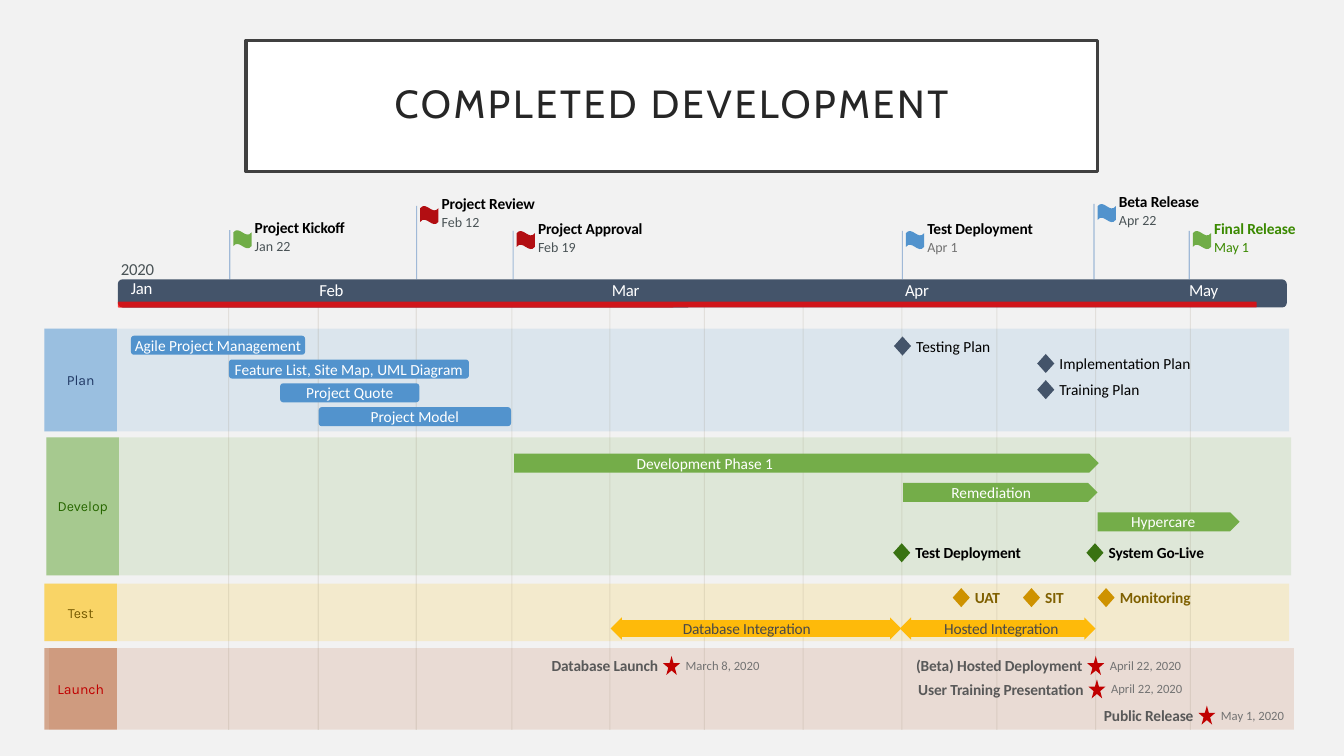
from pptx import Presentation
from pptx.dml.color import RGBColor
from pptx.enum.shapes import MSO_CONNECTOR, MSO_SHAPE
from pptx.enum.text import MSO_ANCHOR, MSO_AUTO_SIZE, PP_ALIGN
from pptx.oxml.ns import qn
from pptx.util import Cm, Pt

RECTANGLE, ROUNDED = MSO_SHAPE.RECTANGLE, MSO_SHAPE.ROUNDED_RECTANGLE
DIAMOND, STAR, FLAG = MSO_SHAPE.DIAMOND, MSO_SHAPE.STAR_5_POINT, MSO_SHAPE.WAVE
PENTAGON, DOUBLE_ARROW = MSO_SHAPE.PENTAGON, MSO_SHAPE.LEFT_RIGHT_ARROW
STRAIGHT = MSO_CONNECTOR.STRAIGHT
LEFT, CENTER, RIGHT = PP_ALIGN.LEFT, PP_ALIGN.CENTER, PP_ALIGN.RIGHT
MIDDLE, NO_AUTOFIT = MSO_ANCHOR.MIDDLE, MSO_AUTO_SIZE.NONE

COLORS = {
    "background": "F2F2F2", "white": "FFFFFF", "black": "000000",
    "title": "262626", "frame": "404040", "slate": "44546A",
    "progress": "FF0000", "grid": "87795D", "pole": "4F81BD",
    "date": "4A5356", "light date": "737373", "launch name": "595959",
    "blue": "5293CD", "green": "70AD47", "red": "B20E12", "final": "3A8900",
    "plan": "5B9BD5", "plan label": "203864",
    "develop": "70AD47", "develop label": "276700",
    "phase": "74AD49", "develop marker": "397212",
    "test": "FFC000", "test label": "765A00", "integration": "FEBA0A",
    "test marker": "CE9200", "test name": "7F6000", "integration name": "484848",
    "launch": "B65D2C", "launch label": "C00000",
}
# Lane boxes: left, top, width, height in centimetres
LANES = {
    "plan": (1.12, 8.28, 31.37, 2.59),
    "develop": (1.17, 11.02, 31.37, 3.48),
    "test": (1.12, 14.71, 31.37, 1.45),
    "launch": (1.24, 16.33, 31.37, 2.06),
}
TEXT_HEIGHT = 0.48
MARKER_WIDTH = 0.43
LABEL_OFFSET = 0.56


def set_alpha(shape, percent):
    for color in shape._element.spPr.iter(qn("a:srgbClr")):
        alpha = color.makeelement(qn("a:alpha"), {"val": str(percent * 1000)})
        color.append(alpha)


def write(shape, text, size=11, color="black", font="Calibri", bold=False,
          align=LEFT, spacing=0, insets=(0, 0, 0, 0)):
    frame = shape.text_frame
    frame.auto_size = NO_AUTOFIT
    frame.word_wrap = True
    frame.vertical_anchor = MIDDLE
    frame.margin_left, frame.margin_top, frame.margin_right, frame.margin_bottom = map(Cm, insets)
    paragraph = frame.paragraphs[0]
    paragraph.alignment = align
    run = paragraph.add_run()
    run.text = text
    run.font.size, run.font.name, run.font.bold = Pt(size), font, bold
    run.font.color.rgb = RGBColor.from_string(COLORS[color])
    if spacing:
        run._r.get_or_add_rPr().set("spc", str(round(spacing * 100)))
    return paragraph


def add_label(slide, text, left, top, width, height=TEXT_HEIGHT, **text_format):
    box = slide.shapes.add_textbox(Cm(left), Cm(top), Cm(width), Cm(height))
    write(box, text, **text_format)


def add_block(slide, kind, left, top, width, height, color, alpha=None):
    shape = slide.shapes.add_shape(kind, Cm(left), Cm(top), Cm(width), Cm(height))
    shape.shadow.inherit = False
    shape.fill.solid()
    shape.fill.fore_color.rgb = RGBColor.from_string(COLORS[color])
    shape.line.fill.background()
    if alpha:
        set_alpha(shape, alpha)
    return shape


def add_vertical(slide, x, top, bottom, color, alpha):
    line = slide.shapes.add_connector(STRAIGHT, Cm(x), Cm(top), Cm(x), Cm(bottom))
    line.line.color.rgb = RGBColor.from_string(COLORS[color])
    line.line.width = Pt(0.75)
    set_alpha(line, alpha)
    properties = line._element.spPr
    properties.append(properties.makeelement(qn("a:effectLst"), {}))


def add_title(slide, left, top, width, height):
    title = slide.shapes.title
    title.left, title.top, title.width, title.height = map(Cm, (left, top, width, height))
    title.fill.solid()
    title.fill.fore_color.rgb = RGBColor.from_string(COLORS["white"])
    title.line.color.rgb = RGBColor.from_string(COLORS["frame"])
    title.line.width = Pt(2.5)
    paragraph = write(title, "COMPLETED DEVELOPMENT", size=28, color="title", font="Cabin",
                      align=CENTER, spacing=2, insets=(0.51,) * 4)
    paragraph.line_spacing = 0.9


def add_grid(slide, left, top, width, height):
    for x in (2.79, 5.05, 7.52, 9.93, 12.4, 14.78, 17.27, 19.76, 22.15, 24.64, 27.03):
        add_vertical(slide, left + x, top, top + height, "grid", 15)


def add_timeline(slide, left, top, width, height):
    add_block(slide, ROUNDED, left, top, width, height, "slate")
    add_block(slide, ROUNDED, left, top + 0.56, 28.7, 0.15, "progress", 75)
    months = [("Jan", 0.33, -0.03), ("Feb", 5.08, 0.03), ("Mar", 12.45, 0.03),
              ("Apr", 19.84, 0.03), ("May", 27, 0.03)]
    for month, x, y in months:
        add_label(slide, month, left + x, top + y, 1, size=12, color="white", spacing=-0.2)
    add_label(slide, "2020", left + 0.08, top - 0.53, 1.2, 0.51, size=12, color="date", spacing=-0.2)

    # Milestone flags: name, date, x, height of pole, name width, colours
    flags = [
        ("Project Kickoff", "Jan 22", 2.82, 1.24, 2.5, "green", "black", "date"),
        ("Project Review", "Feb 12", 7.53, 1.85, 2.79, "red", "black", "date"),
        ("Project Approval", "Feb 19", 9.96, 1.22, 3, "red", "black", "date"),
        ("Test Deployment", "Apr 1", 19.77, 1.22, 2.97, "blue", "black", "light date"),
        ("Beta Release", "Apr 22", 24.6, 1.9, 2.2, "blue", "black", "date"),
        ("Final Release", "May 1", 27, 1.22, 2.3, "green", "final", "final"),
    ]
    for name, date, x, pole, name_width, flag_color, name_color, date_color in flags:
        flag_left, flag_top = left + x, top - pole
        add_vertical(slide, flag_left, flag_top, top, "pole", 50)
        add_block(slide, FLAG, flag_left + 0.09, flag_top, 0.46, 0.46, flag_color)
        add_label(slide, name, flag_left + 0.63, flag_top - 0.3, name_width,
                  color=name_color, bold=True, spacing=-0.1)
        add_label(slide, date, flag_left + 0.63, flag_top + 0.19, 1.2, 0.43,
                  size=10, color=date_color)


def add_lane_label(slide, left, top, height, lane):
    label = add_block(slide, RECTANGLE, left, top, 1.83, height, lane, 50)
    write(label, lane.capitalize(), size=10, color=lane + " label", font="Karla", align=CENTER)


def add_diamond(slide, text, left, top, width, fill_color, **text_format):
    add_block(slide, DIAMOND, left, top, MARKER_WIDTH, TEXT_HEIGHT, fill_color)
    add_label(slide, text, left + LABEL_OFFSET, top, width, **text_format)


def add_plan(slide, left, top, width, height):
    add_lane_label(slide, left, top, height, "plan")
    bars = [("Agile Project Management", 2.18, 4.39),
            ("Feature List, Site Map, UML Diagram", 4.65, 6.05),
            ("Project Quote", 5.94, 3.51), ("Project Model", 6.91, 4.85)]
    for row, (text, x, bar_width) in enumerate(bars):
        bar = add_block(slide, ROUNDED, left + x, top + 0.18 + 0.6 * row,
                        bar_width, TEXT_HEIGHT, "blue")
        write(bar, text, color="white", align=CENTER)
    for text, x, y, text_width in [("Testing Plan", 21.41, 0.2, 2.08),
                                   ("Implementation Plan", 25.02, 0.64, 3.5),
                                   ("Training Plan", 25.02, 1.3, 2.2)]:
        add_diamond(slide, text, left + x, top + y, text_width, "slate")


def add_develop(slide, left, top, width, height):
    add_lane_label(slide, left, top, height, "develop")
    phases = [("Development Phase 1", 11.79, 14.73, 5), ("Remediation", 21.59, 4.9, 0.34),
              ("Hypercare", 26.49, 3.58, 0.15)]
    for row, (text, x, phase_width, right_inset) in enumerate(phases):
        phase = add_block(slide, PENTAGON, left + x, top + 0.41 + 0.74 * row,
                          phase_width, TEXT_HEIGHT, "phase")
        write(phase, text, color="white", align=CENTER, insets=(0, 0, right_inset, 0))
    for text, x, text_width in [("Test Deployment", 21.34, 3.35), ("System Go-Live", 26.21, 2.84)]:
        add_diamond(slide, text, left + x, top + 2.67, text_width, "develop marker",
                    bold=True, spacing=-0.1)


def add_test(slide, left, top, width, height):
    add_lane_label(slide, left, top, height, "test")
    for text, x, arrow_width, insets in [
            ("Database Integration", 14.27, 7.32, (0, 0, 0.46, 0)),
            ("Hosted Integration", 21.56, 4.93, (0.18, 0, 0, 0))]:
        arrow = add_block(slide, DOUBLE_ARROW, left + x, top + 0.85, arrow_width, 0.56, "integration")
        arrow.adjustments[0] = 0.75
        write(arrow, text, color="integration name", align=CENTER, spacing=-0.1, insets=insets)
    for text, x, text_width in [("UAT", 22.89, 0.9), ("SIT", 24.66, 0.8), ("Monitoring", 26.54, 2)]:
        add_diamond(slide, text, left + x, top + 0.11, text_width, "test marker",
                    color="test name", bold=True, spacing=-0.1)


def add_launch(slide, left, top, width, height):
    add_lane_label(slide, left - 0.12, top, height, "launch")
    launches = [("Database Launch", "March 8, 2020", 15.47, 0.2),
                ("(Beta) Hosted Deployment", "April 22, 2020", 26.16, 0.2),
                ("User Training Presentation", "April 22, 2020", 26.19, 0.79),
                ("Public Release", "May 1, 2020", 28.96, 1.45)]
    name_width = 4.6
    for name, date, x, y in launches:
        star_left, star_top = left + x, top + y
        add_block(slide, STAR, star_left, star_top, MARKER_WIDTH, TEXT_HEIGHT, "launch label")
        add_label(slide, name, star_left - 0.12 - name_width, star_top, name_width,
                  color="launch name", bold=True, align=RIGHT, spacing=-0.1)
        add_label(slide, date, star_left + 0.57, star_top + 0.05, 2.1, 0.38,
                  size=9, color="light date")


presentation = Presentation()
presentation.slide_width, presentation.slide_height = Cm(33.87), Cm(19.05)
slide = presentation.slides.add_slide(presentation.slide_layouts[5])
slide.background.fill.solid()
slide.background.fill.fore_color.rgb = RGBColor.from_string(COLORS["background"])

add_title(slide, 6.2, 1.02, 21.46, 3.3)
# Lane bands lie beneath the grid, lane contents above it
for lane, box in LANES.items():
    add_block(slide, RECTANGLE, *box, lane, 15)
add_grid(slide, 2.97, 7.72, 29.46, 10.67)
add_timeline(slide, 2.97, 7.04, 29.46, 0.71)
add_plan(slide, *LANES["plan"])
add_develop(slide, *LANES["develop"])
add_test(slide, *LANES["test"])
add_launch(slide, *LANES["launch"])
presentation.save("out.pptx")
